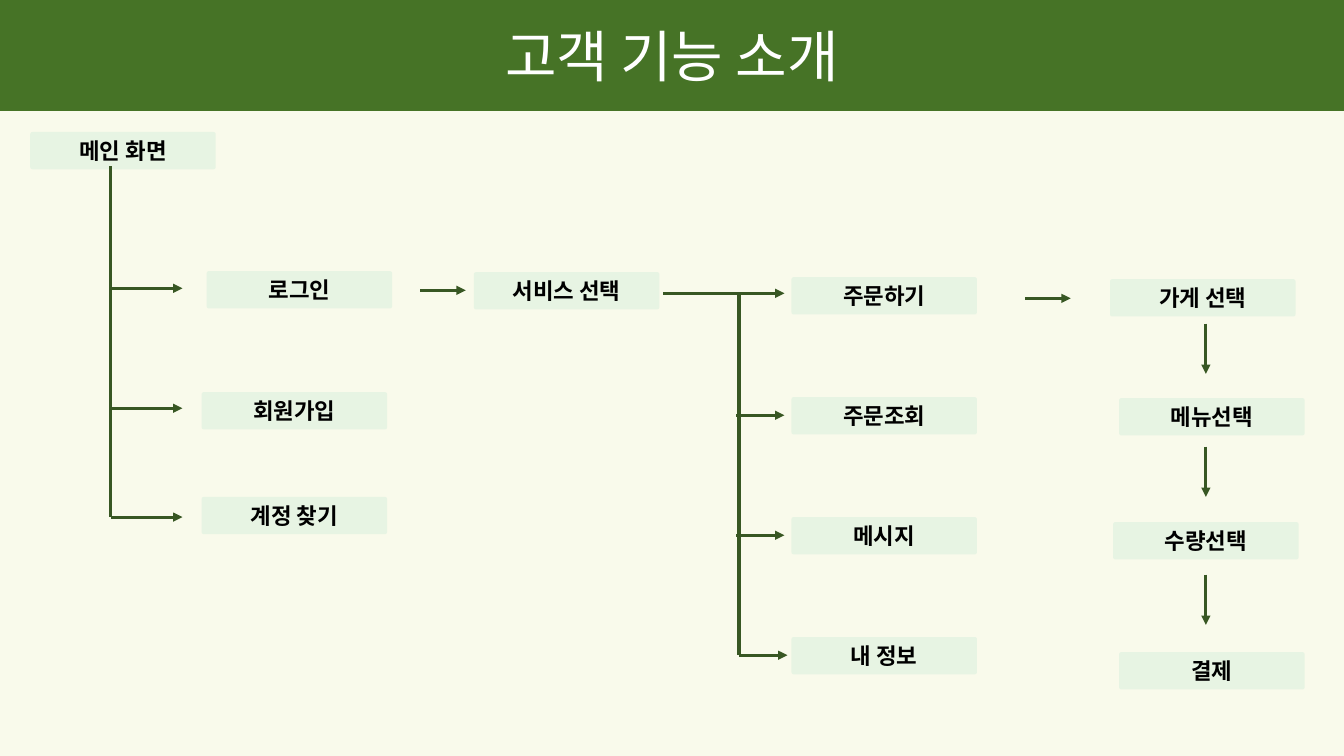
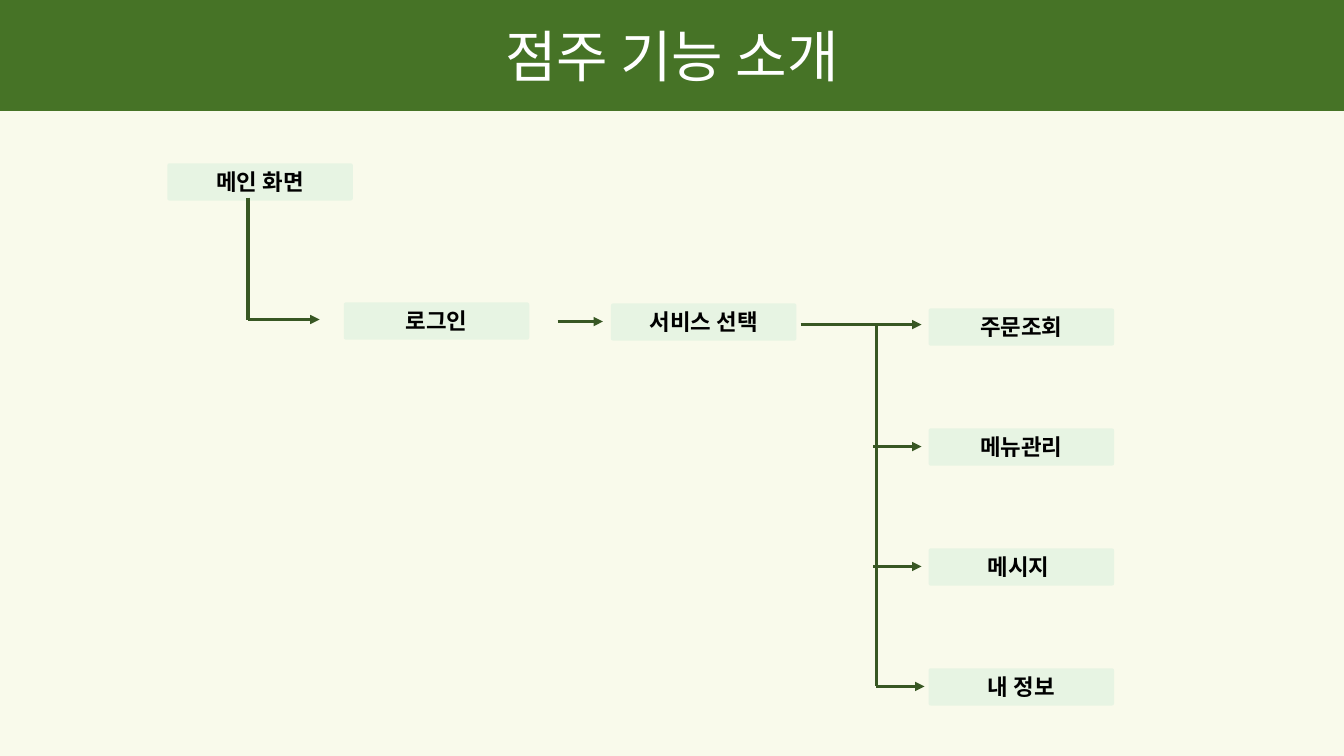
from dataclasses import dataclass

from pptx import Presentation
from pptx.dml import color
from pptx.enum import shapes, text
from pptx.oxml import ns
from pptx.oxml import xmlchemy
from pptx.slide import Slide
from pptx.util import Inches, Pt

# Shared style
FONT = "Noto Sans CJK KR"
CREAM, GREEN, MINT = "F9FAEB", "467326", "E7F4E3"
DARK_GREEN, WHITE, BLACK = "385723", "FFFFFF", "000000"
SLIDE_WIDTH, SLIDE_HEIGHT, BAND_HEIGHT = 13.33, 7.5, 1.1
BOX_WIDTH, BOX_HEIGHT = 1.84, 0.37
ROW_STEP = 1.19


def paint(fill, hex_color):
    fill.solid()
    fill.fore_color.rgb = color.RGBColor.from_string(hex_color)


def write(shape, wording, size, hex_color, bold=False):
    """Put one centred line of text in a shape."""
    frame = shape.text_frame
    frame.text = wording
    frame.vertical_anchor = text.MSO_ANCHOR.MIDDLE
    frame.auto_size = text.MSO_AUTO_SIZE.NONE
    paragraph = frame.paragraphs[0]
    paragraph.alignment = text.PP_ALIGN.CENTER
    font = paragraph.font
    font.size, font.bold, font.name = Pt(size), bold, FONT
    paint(font.fill, hex_color)
    # Korean glyphs take the East Asian typeface
    east_asian = xmlchemy.OxmlElement("a:ea")
    east_asian.set("typeface", FONT)
    paragraph._p.pPr.find(ns.qn("a:defRPr")).append(east_asian)


def add_titled_slide(presentation, title):
    slide = presentation.slides.add_slide(presentation.slide_layouts[5])
    band = slide.shapes.title
    band.left, band.top = Inches(0), Inches(0)
    band.width, band.height = Inches(SLIDE_WIDTH), Inches(BAND_HEIGHT)
    paint(band.fill, GREEN)
    write(band, title, 40, WHITE)
    return slide


@dataclass
class Flow:
    """A flow diagram whose parts are moved together by dx and dy."""
    slide: Slide
    dx: float = 0
    dy: float = 0

    def box(self, label, left, top):
        shape = self.slide.shapes.add_shape(
            shapes.MSO_SHAPE.ROUNDED_RECTANGLE,
            Inches(left + self.dx), Inches(top + self.dy),
            Inches(BOX_WIDTH), Inches(BOX_HEIGHT))
        shape.adjustments[0] = 0.06
        shape.shadow.inherit = False
        paint(shape.fill, MINT)
        shape.line.fill.background()
        write(shape, label, 16, BLACK, bold=True)

    def line(self, x1, y1, x2, y2, arrow=True):
        connector = self.slide.shapes.add_connector(
            shapes.MSO_CONNECTOR.STRAIGHT,
            Inches(x1 + self.dx), Inches(y1 + self.dy),
            Inches(x2 + self.dx), Inches(y2 + self.dy))
        connector.line.width = Pt(2.25)
        paint(connector.line.fill, DARK_GREEN)
        if arrow:
            head = xmlchemy.OxmlElement("a:tailEnd")
            head.set("type", "triangle")
            connector.line._get_or_add_ln().append(head)
        connector._element.spPr.append(xmlchemy.OxmlElement("a:effectLst"))

    def entry(self, branches):
        """Main screen with its trunk; branches are (label, left, top, arrow y)."""
        self.box("메인 화면", 0.3, 1.31)
        for label, left, top, arrow_y in branches:
            self.box(label, left, top)
            self.line(1.1, arrow_y, 1.81, arrow_y)
        self.line(1.1, 1.65, 1.1, branches[-1][3], arrow=False)

    def services(self, labels):
        """Login leads to the service choice, which fans out to the services."""
        self.line(4.17, 2.88, 4.62, 2.88)
        self.box("서비스 선택", 4.7, 2.7)
        self.line(6.58, 2.91, 7.78, 2.91)
        for row, label in enumerate(labels):
            top = 2.75 + row * ROW_STEP
            self.box(label, 7.85, top)
            if row:
                shift = 0.03 if row == len(labels) - 1 else 0
                self.line(7.3 + shift, top + 0.18, 7.78 + shift, top + 0.18)
        self.line(7.33, 2.91, 7.33, top + 0.18, arrow=False)

    def ordering(self, steps):
        """Column of order steps, given as (label, left, top)."""
        self.line(10.17, 2.96, 10.62, 2.96)
        for step in steps:
            self.box(*step)
        for arrow_y in (3.21, 4.43, 5.7):
            self.line(11.96, arrow_y, 11.96, arrow_y + 0.5)


def main():
    presentation = Presentation()
    presentation.slide_width = Inches(SLIDE_WIDTH)
    presentation.slide_height = Inches(SLIDE_HEIGHT)
    paint(presentation.slide_master.background.fill, CREAM)
    login = ("로그인", 2.05, 2.69, 2.86)

    # Customer functions
    customer = Flow(add_titled_slide(presentation, "고객 기능 소개"))
    customer.entry([login, ("회원가입", 2, 3.89, 4.05), ("계정 찾기", 2, 4.93, 5.13)])
    customer.services(["주문하기", "주문조회", "메시지", "내 정보"])
    customer.ordering([("가게 선택", 11.01, 2.77), ("메뉴선택", 11.1, 3.95),
                       ("수량선택", 11.04, 5.18), ("결제", 11.1, 6.47)])

    # Shop owner functions
    owner = Flow(add_titled_slide(presentation, "점주 기능 소개"), dx=1.36, dy=0.31)
    owner.entry([login])
    owner.services(["주문조회", "메뉴관리", "메시지 ", "내 정보"])

    presentation.save("out.pptx")


if __name__ == "__main__":
    main()
